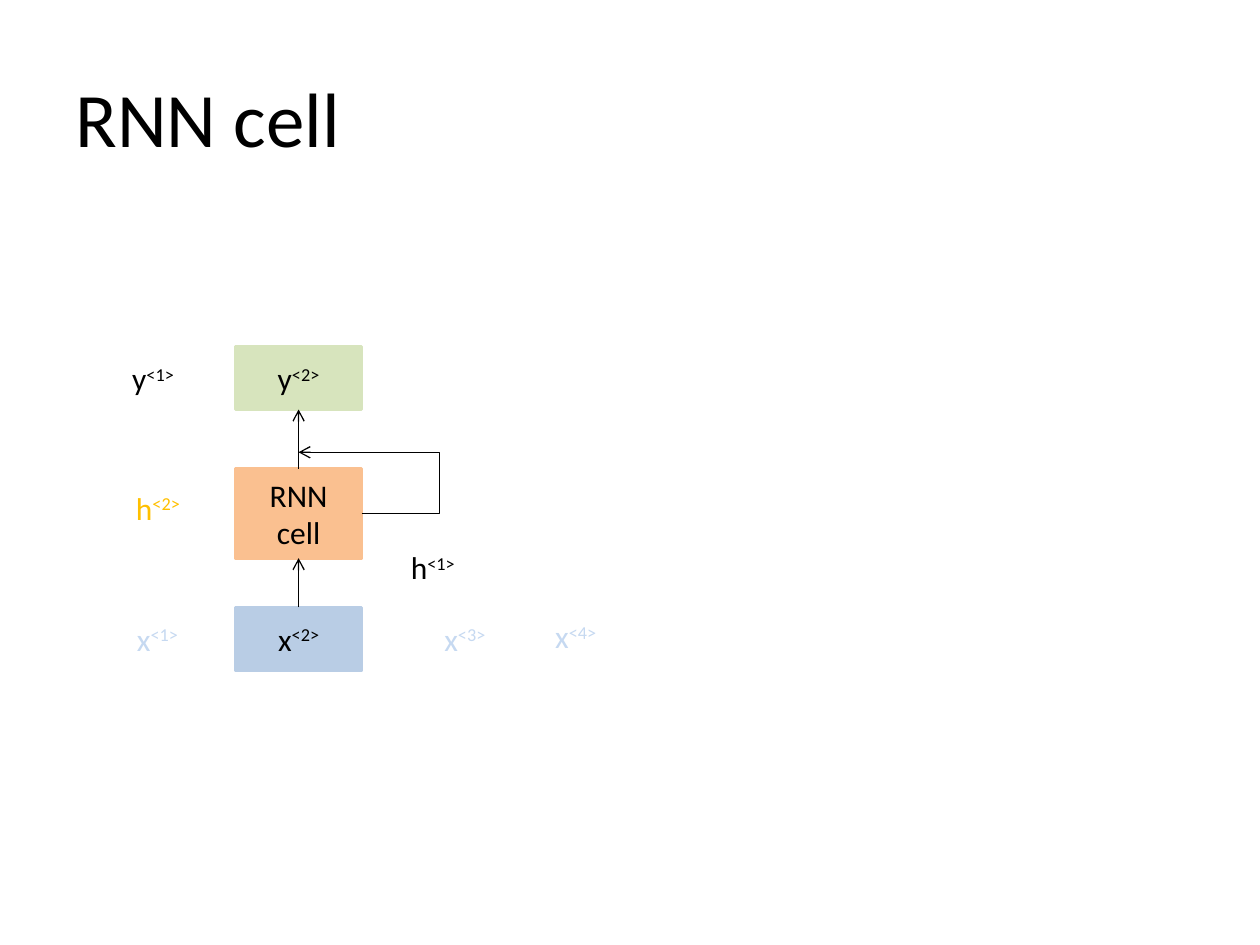
from dataclasses import dataclass

from lxml import etree
from pptx import Presentation
from pptx.dml.color import RGBColor
from pptx.enum.shapes import MSO_CONNECTOR, MSO_SHAPE
from pptx.enum.text import MSO_ANCHOR, MSO_AUTO_SIZE, PP_ALIGN
from pptx.oxml.ns import qn
from pptx.util import Inches, Pt

STRAIGHT, ELBOW = MSO_CONNECTOR.STRAIGHT, MSO_CONNECTOR.ELBOW
RECTANGLE = MSO_SHAPE.RECTANGLE
MIDDLE = MSO_ANCHOR.MIDDLE
GROW = MSO_AUTO_SIZE.SHAPE_TO_FIT_TEXT
LEFT, CENTER = PP_ALIGN.LEFT, PP_ALIGN.CENTER
TOP_SIDE, BOTTOM_SIDE, RIGHT_SIDE = 0, 2, 3


@dataclass(frozen=True)
class Theme:
    font: str = "Calibri"
    title_size: float = 44
    body_size: float = 18
    box_line: float = 2
    arrow_line: float = 0.75
    ink: str = "000000"
    input_fill: str = "B9CDE5"
    cell_fill: str = "FAC090"
    output_fill: str = "D7E4BD"
    pale: str = "C6D9F1"
    state: str = "FFC000"


class SlideBuilder:
    def __init__(self, slide, theme):
        self.shapes = slide.shapes
        self.theme = theme

    def add_text(self, frame, text, step="", size=None, color=None, align=CENTER):
        """Fill one paragraph, with an optional superscript time step."""
        para = frame.paragraphs[0]
        para.alignment = align
        for part, raised in ((text, False), (step, True)):
            if not part:
                continue
            span = para.add_run()
            span.text = part
            span.font.name = self.theme.font
            span.font.size = Pt(size or self.theme.body_size)
            span.font.color.rgb = RGBColor.from_string(color or self.theme.ink)
            if raised:
                span._r.get_or_add_rPr().set("baseline", "30000")

    def title(self, text):
        box = self.shapes.add_textbox(Inches(0.5), Inches(0.3), Inches(9), Inches(1.25))
        frame = box.text_frame
        frame.word_wrap = True
        frame.vertical_anchor = MIDDLE
        self.add_text(frame, text, size=self.theme.title_size, align=LEFT)

    def block(self, left, top, height, fill, text, step=""):
        box = self.shapes.add_shape(
            RECTANGLE, Inches(left), Inches(top), Inches(1), Inches(height))
        box.shadow.inherit = False
        color = RGBColor.from_string(fill)
        box.fill.solid()
        box.fill.fore_color.rgb = color
        box.line.color.rgb = color
        box.line.width = Pt(self.theme.box_line)
        box.text_frame.word_wrap = True
        box.text_frame.vertical_anchor = MIDDLE
        self.add_text(box.text_frame, text, step)
        return box

    def label(self, left, top, width, text, step, color, align=CENTER):
        box = self.shapes.add_textbox(
            Inches(left), Inches(top), Inches(width), Inches(0.4))
        box.text_frame.word_wrap = False
        box.text_frame.auto_size = GROW
        self.add_text(box.text_frame, text, step, color=color, align=align)

    def arrow(self, kind, start, end):
        connector = self.shapes.add_connector(
            kind, *(Inches(length) for length in (*start, *end)))
        connector.line.color.rgb = RGBColor.from_string(self.theme.ink)
        connector.line.width = Pt(self.theme.arrow_line)
        line = connector.line._get_or_add_ln()
        etree.SubElement(line, qn("a:tailEnd"), type="arrow")
        etree.SubElement(connector._element.spPr, qn("a:effectLst"))
        return connector

    def up_arrow(self, lower, upper):
        arrow = self.arrow(STRAIGHT, (0, 0), (0, 0))
        arrow.begin_connect(lower, TOP_SIDE)
        arrow.end_connect(upper, BOTTOM_SIDE)

    def loop_arrow(self, box, start, end, bend):
        """Lead from the box's right side back to end; bend is a share of the width."""
        arrow = self.arrow(ELBOW, start, end)
        arrow.begin_connect(box, RIGHT_SIDE)
        guides = arrow._element.spPr.prstGeom.get_or_add_avLst()
        etree.SubElement(
            guides, qn("a:gd"), name="adj1", fmla=f"val {round(bend * 100000)}")


def main():
    deck = Presentation()
    deck.slide_width, deck.slide_height = Inches(10), Inches(7.5)
    theme = Theme()
    page = SlideBuilder(deck.slides.add_slide(deck.slide_layouts[6]), theme)

    page.title("RNN cell")

    column = 1.87
    input_box = page.block(column, 4.82, 0.5, theme.input_fill, "x", "<2>")
    cell_box = page.block(column, 3.72, 0.71, theme.cell_fill, "RNN cell")
    output_box = page.block(column, 2.75, 0.5, theme.output_fill, "y", "<2>")
    page.up_arrow(input_box, cell_box)
    page.up_arrow(cell_box, output_box)
    page.loop_arrow(cell_box, (2.87, 4.07), (2.37, 3.59), -1.24)

    page.label(3.14, 4.3, 0.59, "h", "<1>", theme.ink)
    page.label(0.93, 2.8, 0.57, "y", "<1>", theme.ink)
    page.label(0.98, 3.83, 0.59, "h", "<2>", theme.state, LEFT)
    for left, top, step in ((0.97, 4.87, "<1>"), (3.41, 4.87, "<3>"), (4.29, 4.85, "<4>")):
        page.label(left, top, 0.56, "x", step, theme.pale)

    deck.save("out.pptx")


if __name__ == "__main__":
    main()
